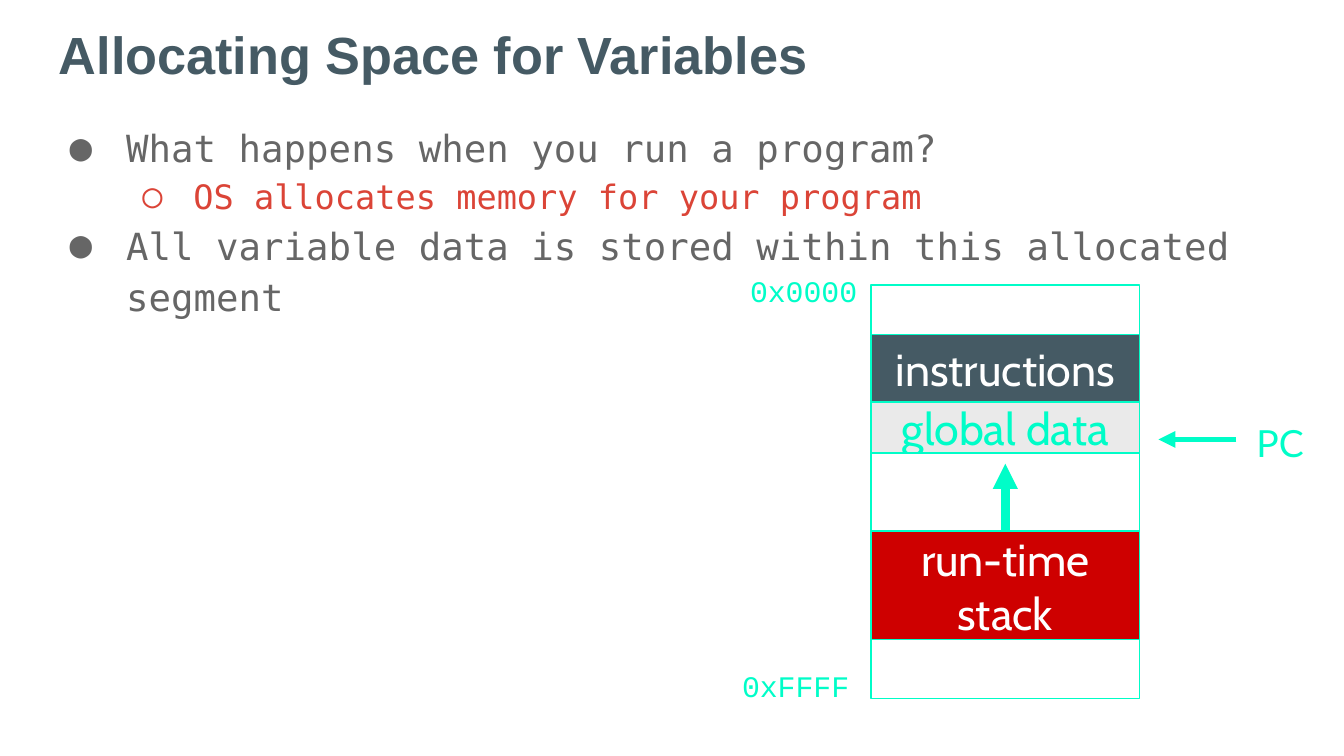
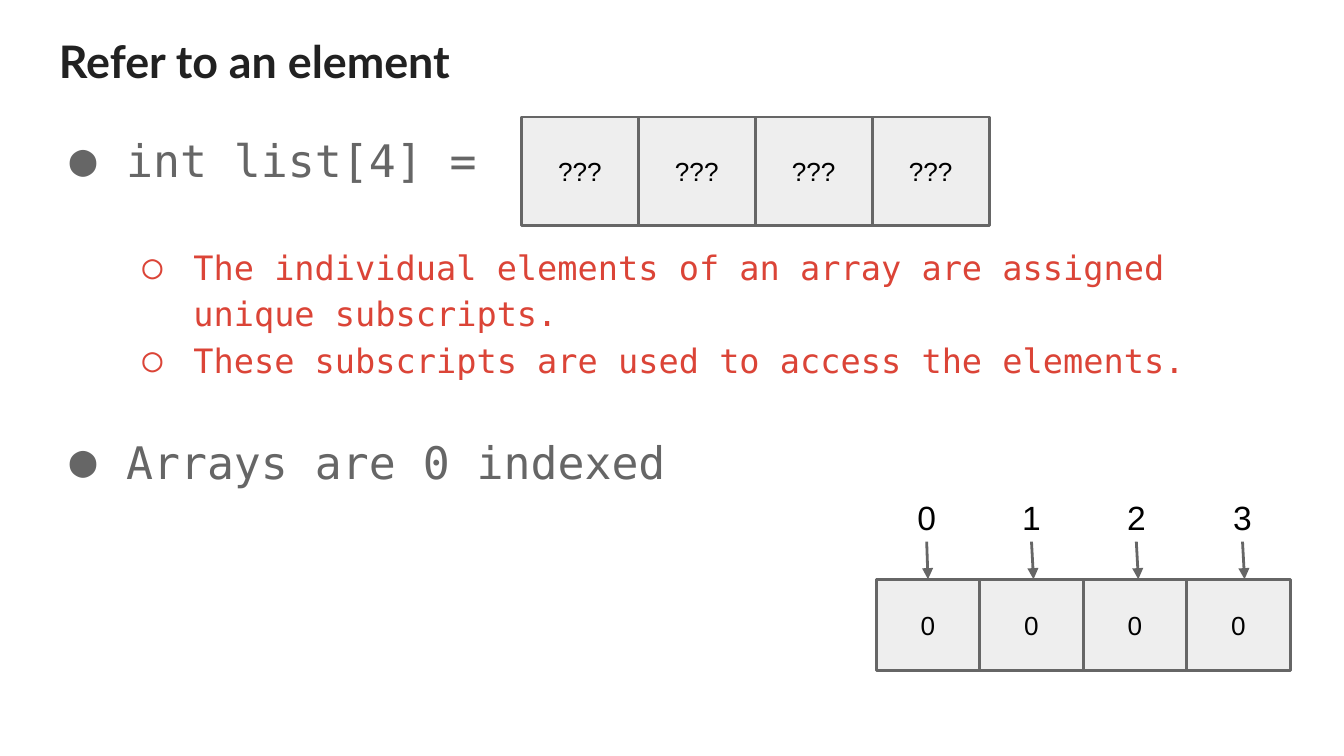
"""Two lecture slides on program memory and array subscripts."""
from lxml.etree import SubElement
from pptx import Presentation
from pptx.dml.color import RGBColor
from pptx.enum.shapes import MSO_CONNECTOR as LINK, MSO_SHAPE as SHAPE
from pptx.enum.text import MSO_ANCHOR as ANCHOR, PP_ALIGN as ALIGN
from pptx.oxml.ns import qn
from pptx.util import Pt

PX = 9144
TEAL, SLATE, GREY, RED = "00FDC8", "455A64", "666666", "DB4437"
WHITE, BLACK = "FFFFFF", "000000"
MONO = "DejaVu Sans Mono"
BULLETS = [("●", GREY, 50, -42), ("○", RED, 100, -38)]


def paint(target, colour):
    target.solid()
    target.fore_color.rgb = RGBColor.from_string(colour)


def put(shapes, at, text, *, size=18, font="Arial", colour=BLACK, bold=False,
        align=ALIGN.CENTER, anchor=ANCHOR.TOP, inset=5, wrap=True,
        fill=None, line=None, weight=0.75):
    place = [length * PX for length in at]
    if fill:
        shape = shapes.add_shape(SHAPE.RECTANGLE, *place)
        shape.shadow.inherit = False
        paint(shape.fill, fill)
        paint(shape.line.fill, line)
        shape.line.width = Pt(weight)
    else:
        shape = shapes.add_textbox(*place)
    frame = shape.text_frame
    frame.word_wrap = wrap
    frame.vertical_anchor = anchor
    frame.margin_left = frame.margin_right = 10 * PX
    frame.margin_top = frame.margin_bottom = inset * PX
    frame.text = text
    for paragraph in frame.paragraphs:
        paragraph.alignment = align
        for run in paragraph.runs:
            run.font.size, run.font.name, run.font.bold = Pt(size), font, bold
            paint(run.font.fill, colour)
    return shape


deck = Presentation()
deck.slide_width = 1000 * PX
deck.slide_height = deck.slide_width * 9 // 16

contents = [
    ("Allocating Space for Variables",
     dict(size=28, colour=SLATE, anchor=ANCHOR.MIDDLE), 5,
     [("What happens when you run a program?", 0, 20, 0),
      ("OS allocates memory for your program", 1, 18, 0),
      ("All variable data is stored within this allocated segment", 0, 20, 0)]),
    ("Refer to an element",
     dict(size=24, font="Lato", colour="212121"), 10,
     [("int list[4] =", 0, 24, 29),
      ("The individual elements of an array are assigned unique subscripts.", 1, 18, 0),
      ("These subscripts are used to access the elements.", 1, 18, 25),
      ("Arrays are 0 indexed", 0, 24, 0)]),
]
slides = []
for title, title_style, inset, points in contents:
    shapes = deck.slides.add_slide(deck.slide_layouts[6]).shapes
    slides.append(shapes)
    put(shapes, (34, 15, 932, 49), title, bold=True, align=ALIGN.LEFT,
        inset=inset, **title_style)
    body = put(shapes, (34, 83, 932, 417), "\n".join(point[0] for point in points),
               font=MONO, align=ALIGN.LEFT, inset=inset)
    for paragraph, (_, level, size, after) in zip(body.text_frame.paragraphs, points):
        mark, colour, margin, indent = BULLETS[level]
        paragraph.level = level
        paragraph.line_spacing = 1.15
        paragraph.space_after = Pt(after)
        paragraph.runs[0].font.size = Pt(size)
        paint(paragraph.runs[0].font.fill, colour)
        properties = paragraph._p.get_or_add_pPr()
        properties.set("marL", str(margin * PX))
        properties.set("indent", str(indent * PX))
        bullet_colour = SubElement(properties, qn("a:buClr"))
        SubElement(bullet_colour, qn("a:srgbClr"), val=colour)
        SubElement(properties, qn("a:buFont"), typeface=MONO)
        SubElement(properties, qn("a:buChar"), char=mark)

memory, array = slides
arrows = []

top = 212
for segment, height, fill, colour in [
        ("", 37, WHITE, TEAL), ("instructions", 50, SLATE, WHITE),
        ("global data", 38, "EAEAEA", TEAL), ("", 58, WHITE, TEAL),
        ("run-time\nstack", 81, "CE0000", WHITE), ("", 44, WHITE, TEAL)]:
    block = put(memory, (648, top, 200, height), segment, size=24, font="Cabin",
                colour=colour, anchor=ANCHOR.MIDDLE, fill=fill, line=TEAL)
    if segment.startswith("run-time"):
        stack = block
    top += height

for address, left, top in [("0x0000", 548, 198), ("0xFFFF", 542, 492)]:
    put(memory, (left, top, 100, 28), address, size=16, font="Courier New",
        colour=TEAL, wrap=False)
put(memory, (920, 308, 65, 33), "PC", size=20, font="Lato", colour=TEAL)

counter = memory.add_connector(LINK.STRAIGHT, 920 * PX, 327 * PX, 862 * PX, 327 * PX)
growth = memory.add_connector(LINK.STRAIGHT, 748 * PX, 395 * PX, 748 * PX, 345 * PX)
growth.begin_connect(stack, 0)
arrows += [(counter, TEAL, 3), (growth, TEAL, 4.5)]

for value, left, top, width, height in [("???", 388, 87, 87, 81), ("0", 652, 431, 77, 68)]:
    row = array.add_group_shape().shapes
    cells = [put(row, (left + index * width, top, width, height), value, size=14,
                 anchor=ANCHOR.MIDDLE, inset=10, fill="EEEEEE", line=GREY, weight=1.5)
             for index in range(4)]

for index in range(4):
    shift = index * 235 // 3
    subscript = put(array, (670 + shift, 366, 39, 37), str(index),
                    anchor=ANCHOR.MIDDLE, inset=10)
    pointer = array.add_connector(LINK.STRAIGHT, (690 + shift) * PX, 403 * PX,
                                  (691 + shift) * PX, 431 * PX)
    pointer.begin_connect(subscript, 2)
    if index == 0:
        pointer.end_connect(cells[0], 0)
    arrows.append((pointer, GREY, 1.5))

for arrow, colour, weight in arrows:
    paint(arrow.line.fill, colour)
    arrow.line.width = Pt(weight)
    SubElement(arrow.line._get_or_add_ln(), qn("a:tailEnd"), type="triangle")
    SubElement(arrow._element.spPr, qn("a:effectLst"))

deck.save("out.pptx")
